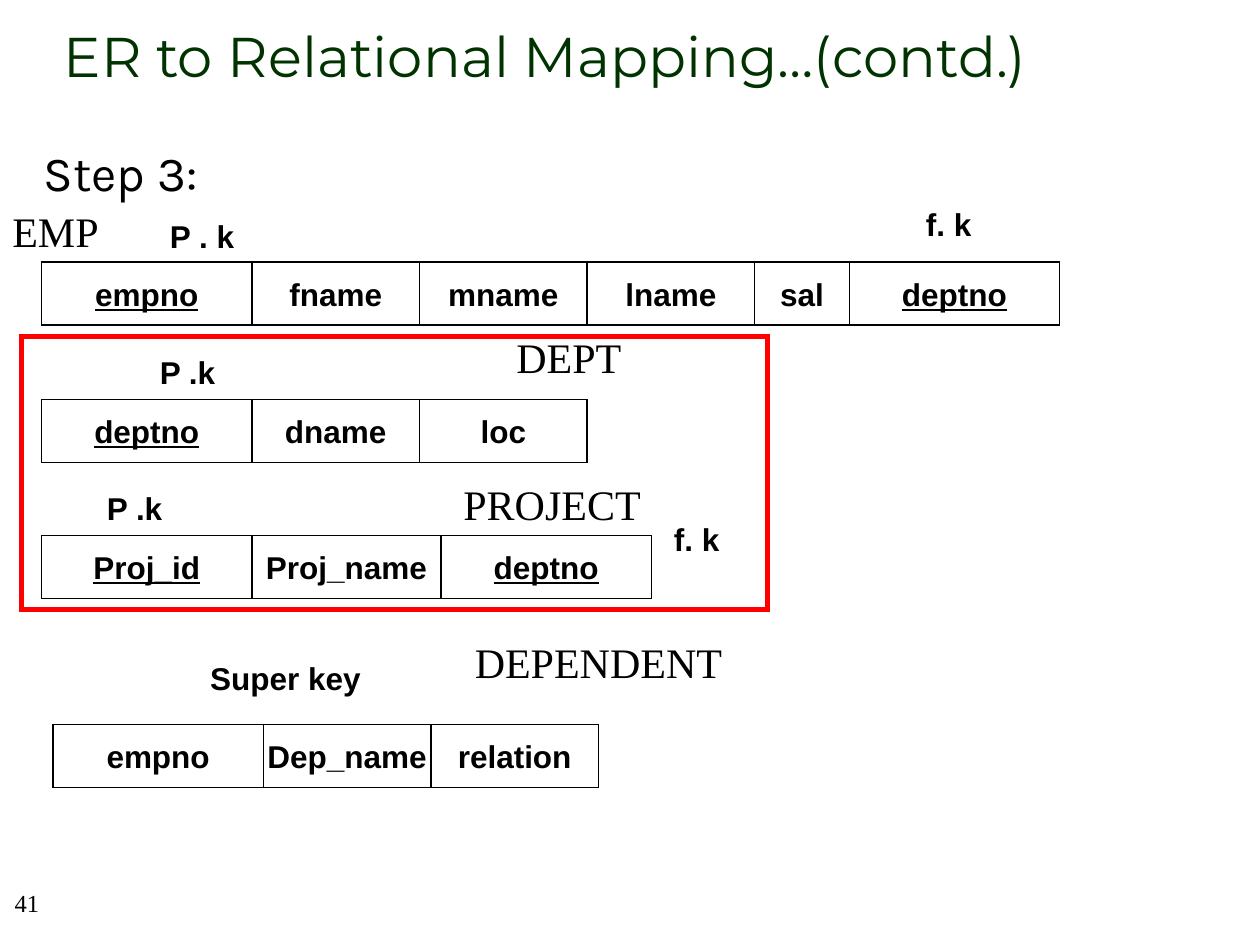
from lxml import etree
from pptx import Presentation
from pptx.dml.color import RGBColor
from pptx.enum import shapes, text
from pptx.oxml.ns import qn
from pptx.util import Inches, Pt

BLACK = RGBColor(0, 0, 0)
GREEN = RGBColor(0, 0x33, 0)
RED = RGBColor(0xFF, 0, 0)
SERIF = "Times New Roman"
RECT = shapes.MSO_SHAPE.RECTANGLE
LEFT, MID, RIGHT = text.PP_ALIGN.LEFT, text.PP_ALIGN.CENTER, text.PP_ALIGN.RIGHT
TOP, CORE = text.MSO_ANCHOR.TOP, text.MSO_ANCHOR.MIDDLE

deck = Presentation()
deck.slide_width, deck.slide_height = Inches(10), Inches(7.5)
slide = deck.slides.add_slide(deck.slide_layouts[6])


def outline(at, color, width):
    shape = slide.shapes.add_shape(RECT, *[Inches(n) for n in at])
    shape.shadow.inherit = False
    shape.fill.background()
    shape.line.color.rgb = color
    shape.line.width = Pt(width)
    line = shape.element.spPr.find(qn("a:ln"))
    etree.SubElement(line, qn("a:miter"), lim="800000")
    return shape


def write(words, at, size=18, face="Arial", color=BLACK, bold=False, under=False,
          align=LEFT, anchor=TOP, wrap=True, edge=False):
    if edge:
        shape = outline(at, BLACK, 0.75)
    else:
        shape = slide.shapes.add_textbox(*[Inches(n) for n in at])
    frame = shape.text_frame
    frame.word_wrap = wrap
    frame.vertical_anchor = anchor
    para = frame.paragraphs[0]
    para.alignment = align
    run = para.add_run()
    run.text = words
    font = run.font
    font.name, font.size, font.bold, font.underline = face, Pt(size), bold, under
    font.color.rgb = color


write("ER to Relational Mapping…(contd.)", (-0.17, 0, 9, 0.87), size=32,
      face="Montserrat", color=GREEN, align=MID, anchor=CORE)
write("Step 3:", (0.25, 1.08, 1.67, 0.56), size=28, face="Karla")

names = [
    ("EMP", 0, 1.58, 1),
    ("DEPT", 4, 2.58, 1.2),
    ("PROJECT", 3.58, 3.75, 2.43),
    ("DEPENDENT", 3.67, 5, 2.43),
]
for name, x, y, wide in names:
    write(name, (x, y, wide, 0.5), size=24, face=SERIF)

KEY, COL = 1.67, 1.33
tables = [
    (0.33, 2.08, [("empno", KEY, True), ("fname", COL, False), ("mname", COL, False),
                  ("lname", COL, False), ("sal", 0.75, False), ("deptno", KEY, True)]),
    (0.33, 3.17, [("deptno", KEY, True), ("dname", COL, False), ("loc", COL, False)]),
    (0.33, 4.25, [("Proj_id", KEY, True), ("Proj_name", 1.5, False),
                  ("deptno", KEY, True)]),
    (0.42, 5.75, [("empno", KEY, False), ("Dep_name", COL, False),
                  ("relation", COL, False)]),
]
for x, y, fields in tables:
    for field, wide, under in fields:
        write(field, (x, y, wide, 0.5), bold=True, under=under, align=MID,
              anchor=CORE, wrap=False, edge=True)
        x += wide

keys = [
    ("P . k", 1.25, 1.67, 0.83),
    ("P .k", 1.17, 2.75, 0.83),
    ("P .k", 0.75, 3.83, 0.83),
    ("Super key", 1.57, 5.18, 2),
    ("f. k", 7.25, 1.58, 0.83),
    ("f. k", 5.25, 4.08, 0.83),
]
for key, x, y, wide in keys:
    write(key, (x, y, wide, 0.4), bold=True)

outline((0.17, 2.67, 5.92, 2.17), RED, 3)
write("41", (-0.17, 7, 0.58, 0.5), size=14, face=SERIF, align=RIGHT)

deck.save("out.pptx")
